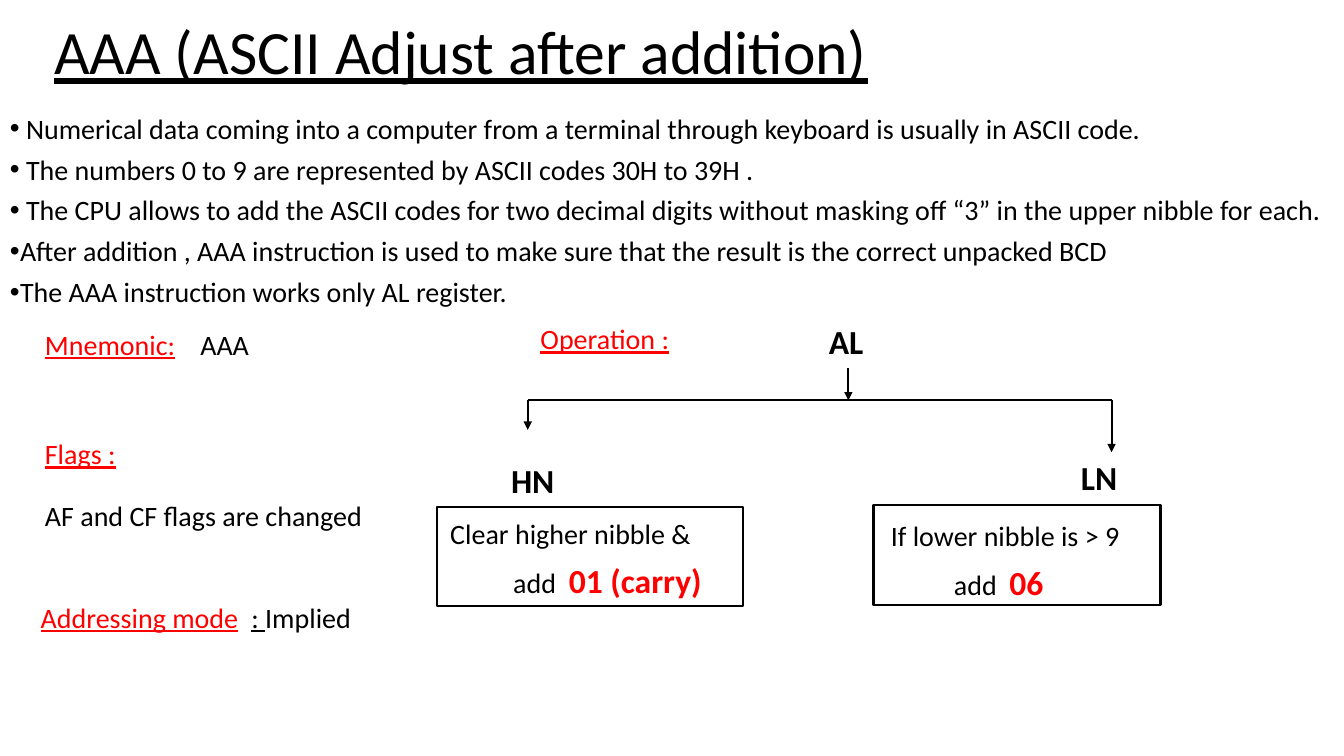
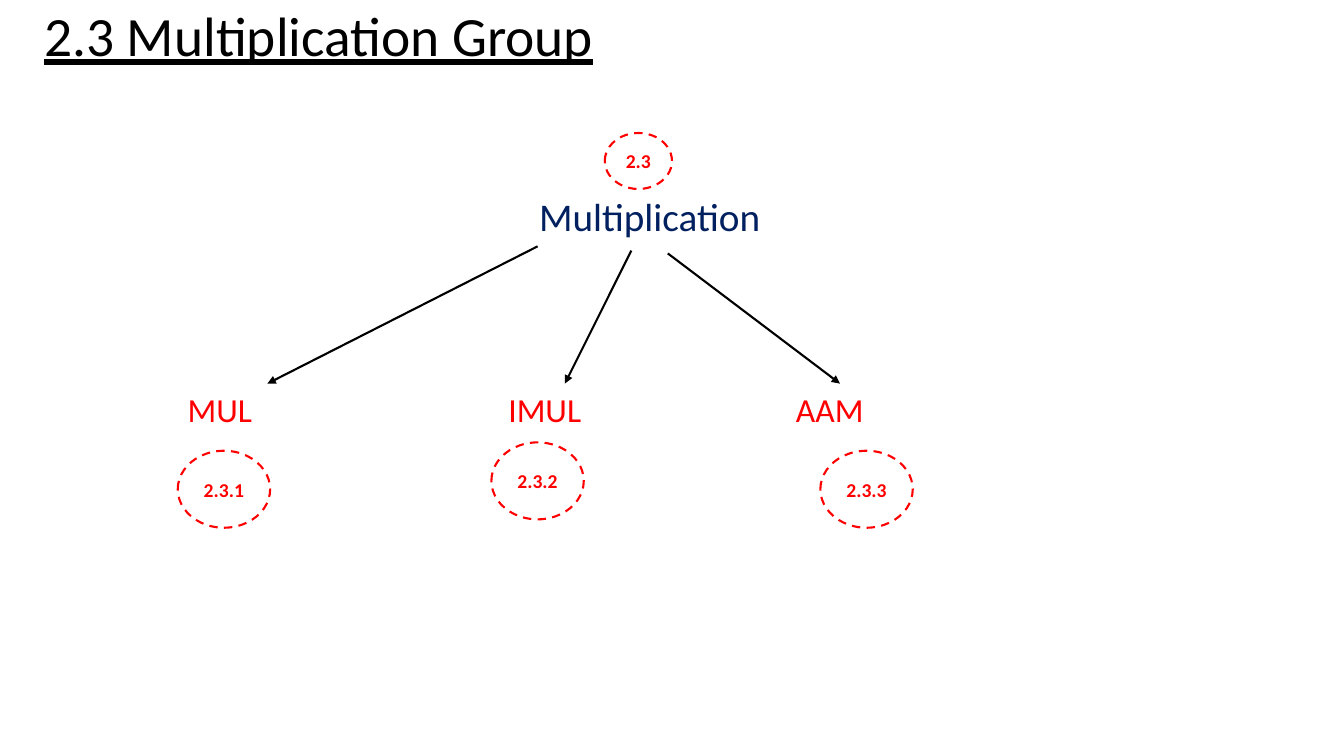
from typing import NamedTuple

from lxml.etree import SubElement
from pptx import Presentation
from pptx.dml.color import RGBColor
from pptx.enum.dml import MSO_LINE_DASH_STYLE as DASH
from pptx.enum.shapes import MSO_AUTO_SHAPE_TYPE as SHAPE, MSO_CONNECTOR_TYPE as CONNECTOR
from pptx.enum.text import MSO_ANCHOR as ANCHOR, MSO_AUTO_SIZE as AUTO_SIZE, PP_ALIGN as ALIGN
from pptx.oxml.ns import qn
from pptx.util import Pt

COLORS = {"ink": "000000", "accent": "FF0000", "topic": "002060"}
FONT = "Calibri"
LINE_WIDTH = 1.5
HEADING = {"color": "accent", "underline": True}
STRONG = {"size": 24, "bold": True}
RESULT = {"size": 24, "bold": True, "color": "accent"}


class Box(NamedTuple):
    """Area on a page, in points."""
    left: float
    top: float
    width: float
    height: float

    def inside(self, left, top, width, height):
        """Return an area placed relative to this one."""
        return Box(self.left + left, self.top + top, width, height)

    def spot(self, across, down):
        """Return a point placed relative to this area."""
        return self.left + across, self.top + down

    def lengths(self):
        """Return the four lengths for python-pptx."""
        return [Pt(value) for value in self]


def rgb(name):
    """Look up a shared colour."""
    return RGBColor.from_string(COLORS[name])


def set_values(target, values):
    """Set each named attribute of the target."""
    for name, value in values.items():
        setattr(target, name, value)


def add_span(para, text, size=20, color="ink", bold=False, underline=False):
    """Add one formatted run."""
    span = para.add_run()
    span.text = text
    set_values(span.font, {"name": FONT, "size": Pt(size), "bold": bold, "underline": underline})
    span.font.color.rgb = rgb(color)


def set_frame(frame, anchor=ANCHOR.TOP, insets=(7.2, 3.6)):
    """Give a text frame its wrap, anchor and insets."""
    across, down = (Pt(inset) for inset in insets)
    set_values(frame, {"word_wrap": True, "auto_size": AUTO_SIZE.NONE, "vertical_anchor": anchor,
                       "margin_left": across, "margin_right": across,
                       "margin_top": down, "margin_bottom": down})


def write_paras(frame, paras, spacing=0.9, align=ALIGN.LEFT, tabs=()):
    """Write paragraphs, each a list of (text, format) runs."""
    for index, spans in enumerate(paras):
        para = frame.add_paragraph() if index else frame.paragraphs[0]
        set_values(para, {"line_spacing": spacing, "alignment": align,
                          "space_before": Pt(10 if index else 0)})
        if tabs:
            tab_list = SubElement(para._p.get_or_add_pPr(), qn("a:tabLst"))
            for position in tabs:
                SubElement(tab_list, qn("a:tab"), pos=str(Pt(position)), algn="l")
        for text, style in spans:
            add_span(para, text, **style)


def add_text(page, box, paras, **layout):
    """Add a text box with its paragraphs."""
    shape = page.shapes.add_textbox(*box.lengths())
    set_frame(shape.text_frame)
    write_paras(shape.text_frame, paras, **layout)
    return shape


def add_outline(page, kind, box, color):
    """Add an unfilled outlined shape."""
    shape = page.shapes.add_shape(kind, *box.lengths())
    shape.shadow.inherit = False
    shape.fill.background()
    shape.line.color.rgb = rgb(color)
    shape.line.width = Pt(LINE_WIDTH)
    return shape


def add_line(page, start, end, arrow=True, target=None):
    """Add a line, optionally with an arrowhead and joined to the top of a target."""
    line = page.shapes.add_connector(CONNECTOR.STRAIGHT, *(Pt(value) for value in (*start, *end)))
    if target is not None:
        line.end_connect(target, 0)
    line.line.color.rgb = rgb("ink")
    line.line.width = Pt(LINE_WIDTH)
    if arrow:
        SubElement(line.line._get_or_add_ln(), qn("a:tailEnd"), type="triangle")
    SubElement(line._element.spPr, qn("a:effectLst"))


def add_page(deck, title, box, size):
    """Add a title-only page with its underlined title."""
    page = deck.slides.add_slide(deck.slide_layouts[5])
    holder = page.shapes.title
    set_values(holder, dict(zip(("left", "top", "width", "height"), box.lengths())))
    set_frame(holder.text_frame, ANCHOR.MIDDLE)
    write_paras(holder.text_frame, [[(title, {"size": size, "underline": True})]])
    return page


def draw_bullets(page, box, items):
    """Write bulleted lines, each a (text, hanging indent) pair."""
    shape = add_text(page, box, [[(text, {})] for text, _ in items], spacing=0.8)
    for para, (_, indent) in zip(shape.text_frame.paragraphs, items):
        properties = para._p.get_or_add_pPr()
        properties.set("marL", str(Pt(indent)))
        properties.set("indent", str(-Pt(indent)))
        SubElement(properties, qn("a:buFont"), typeface="Arial")
        SubElement(properties, qn("a:buChar"), char="•")


def draw_facts(page, box):
    """Write the column of instruction facts."""
    add_text(page, box.inside(3, 0, 235, 61), [[("Mnemonic:", HEADING), ("\tAAA", {})]], tabs=[111])
    add_text(page, box.inside(3, 78, 133, 30), [[("Flags :", HEADING)]])
    add_text(page, box.inside(3, 122, 325, 42), [[("AF and CF flags are changed", {})]])
    add_text(page, box.inside(0, 195, 451, 55),
             [[("Addressing mode\t", HEADING), (": ", {"underline": True}), ("Implied", {})]],
             tabs=[150.5])


def draw_operation(page, box):
    """Draw how AL splits into its two nibbles."""
    add_text(page, box.inside(67, 3, 133, 30), [[("Operation :", HEADING)]])
    for text, left, top in (("AL", 273, 0), ("HN", 46, 99), ("LN", 453, 97)):
        add_text(page, box.inside(left, top, 119, 36), [[(text, STRONG)]], spacing=1.0)

    bar, high, low = 60, 65, 482
    add_line(page, box.spot(high, bar), box.spot(low, bar), arrow=False)
    for across, start, end in ((294, 37, bar), (high, bar, 81), (low, bar, 97)):
        add_line(page, box.spot(across, start), box.spot(across, end))

    rules = (("Clear higher nibble &", "01 (carry)", (0, 136, 219, 71), (9.6, 9.6)),
             ("If lower nibble is > 9", "06", (312, 135, 205, 71), (12.4, 12)))
    for condition, value, area, insets in rules:
        shape = add_outline(page, SHAPE.RECTANGLE, box.inside(*area), "ink")
        set_frame(shape.text_frame, insets=insets)
        write_paras(shape.text_frame,
                    [[(condition, {})], [("\tadd\t", {}), (value, RESULT)]], tabs=[45, 84.7])


def draw_badge(page, box, number):
    """Draw a dashed ellipse with a section number."""
    badge = add_outline(page, SHAPE.OVAL, box, "accent")
    badge.line.dash_style = DASH.DASH
    set_frame(badge.text_frame, ANCHOR.MIDDLE, (0, 0))
    write_paras(badge.text_frame, [[(number, {"size": 14, "bold": True, "color": "accent"})]],
                spacing=1.0, align=ALIGN.CENTER)


def draw_tree(page, box):
    """Draw the group and its three instructions."""
    draw_badge(page, box.inside(305, 0, 48, 40), "2.3")
    add_text(page, box.inside(251, 43, 184, 30),
             [[("Multiplication", {"size": 28, "color": "topic"})]])
    branches = (("MUL", "2.3.1", 0, 77, (0, 227), (257, 81), 64),
                ("IMUL", "2.3.2", 229, 95, (224, 221), (324, 84), None),
                ("AAM", "2.3.3", 434.5, 77, (459, 227), (350, 86), None))
    for name, number, left, width, corner, start, end in branches:
        label = add_text(page, box.inside(left, 179, width, 36),
                         [[(name, {"size": 24, "color": "accent"})]], spacing=1.0)
        draw_badge(page, box.inside(*corner, 66, 55), number)
        joined = end is None
        tip = left + width / 2 if joined else end
        add_line(page, box.spot(*start), box.spot(tip, 179), target=label if joined else None)


def build_adjust_page(deck):
    """Build the page on the AAA instruction."""
    page = add_page(deck, "AAA (ASCII Adjust after addition)", Box(31.5, -13, 828, 104), 44)
    wide, tight = 11.5, 7.2
    draw_bullets(page, Box(0, 80.5, 960, 152), (
        ("Numerical data coming into a computer from a terminal through keyboard is usually in ASCII code.", wide),
        ("The numbers 0 to 9 are represented by ASCII codes 30H to 39H .", wide),
        ("The CPU allows to add the ASCII codes for two decimal digits without masking off “3” in the upper nibble for each.", wide),
        ("After addition , AAA instruction is used to make sure that the result is the correct unpacked BCD", tight),
        ("The AAA instruction works only AL register.", tight)))
    draw_facts(page, Box(22, 233, 451, 250))
    draw_operation(page, Box(312, 226, 572, 208))


def build_multiplication_page(deck):
    """Build the page on the multiplication group."""
    page = add_page(deck, "2.3 Multiplication Group", Box(24.5, 0, 828, 55), 39.6)
    draw_tree(page, Box(127, 95, 525, 282))


def main():
    """Build and save the deck."""
    deck = Presentation()
    deck.slide_width, deck.slide_height = Pt(960), Pt(540)
    build_adjust_page(deck)
    build_multiplication_page(deck)
    deck.save("out.pptx")


if __name__ == "__main__":
    main()
